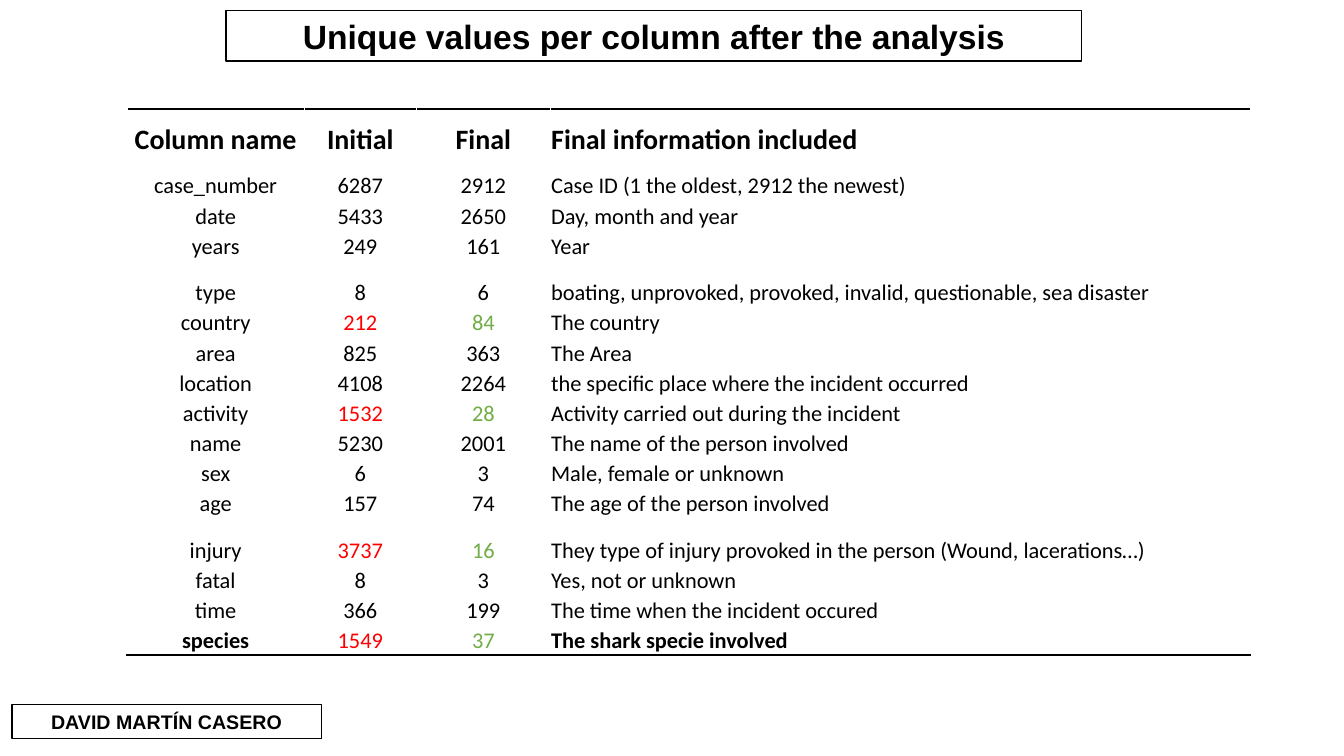
from lxml.etree import SubElement
from pptx import Presentation
from pptx.dml.color import RGBColor
from pptx.enum.shapes import MSO_SHAPE
from pptx.enum.text import MSO_ANCHOR as Anchor, PP_ALIGN as Align
from pptx.oxml.ns import qn
from pptx.util import Cm, Pt

COLORS = {"ink": "000000", "paper": "FFFFFF", "before": "FF0000", "after": "70AD47"}

# text, (left, top, width, height) in cm, font size
LABELS = [
    ("Unique values per column after the analysis", (5.7, 0.26, 21.56, 1.28), 24),
    ("DAVID MARTÍN CASERO", (0.3, 17.75, 7.8, 0.86), 14),
]
HEADER = ("Column name", "Initial", "Final", "Final information included")
GROUPS = [
    [
        ("case_number", 6287, 2912, "Case ID (1 the oldest, 2912 the newest)"),
        ("date", 5433, 2650, "Day, month and year"),
        ("years", 249, 161, "Year"),
    ],
    [
        ("type", 8, 6, "boating, unprovoked, provoked, invalid, questionable, sea disaster"),
        ("country", 212, 84, "The country"),
        ("area", 825, 363, "The Area"),
        ("location", 4108, 2264, "the specific place where the incident occurred"),
        ("activity", 1532, 28, "Activity carried out during the incident"),
        ("name", 5230, 2001, "The name of the person involved"),
        ("sex", 6, 3, "Male, female or unknown"),
        ("age", 157, 74, "The age of the person involved"),
    ],
    [
        ("injury", 3737, 16, "They type of injury provoked in the person (Wound, lacerations…)"),
        ("fatal", 8, 3, "Yes, not or unknown"),
        ("time", 366, 199, "The time when the incident occured"),
        ("species", 1549, 37, "The shark specie involved"),
    ],
]
REDUCED = {"country", "activity", "injury", "species"}
BOLD_NAME = "species"
NUMBER_COLORS = {1: "before", 2: "after"}

TABLE_LEFT, TABLE_TOP = 3.2, 2.74
COLUMN_WIDTHS = (4.47, 2.82, 3.38, 17.65)
HEADER_HEIGHT, ROW_HEIGHT, GROUP_START_HEIGHT = 1.54, 0.76, 1.17
CELL_FORMAT = {"margin_left": Cm(0.02), "margin_right": Cm(0.02),
               "margin_top": Cm(0.02), "margin_bottom": 0}


def rgb(name):
    """Return the named colour."""
    return RGBColor.from_string(COLORS[name])


def write(frame, text, align, color="ink", **font_format):
    """Put one formatted line of text into a text frame."""
    line = frame.paragraphs[0]
    line.alignment = align
    run = line.add_run()
    run.text = str(text)
    run.font.color.rgb = rgb(color)
    for attribute, value in font_format.items():
        setattr(run.font, attribute, value)


def paint(part):
    """Give a shape or cell the paper fill."""
    part.fill.solid()
    part.fill.fore_color.rgb = rgb("paper")


def add_label(slide, text, box, size):
    """Add a framed label with bold centred text."""
    label = slide.shapes.add_shape(MSO_SHAPE.RECTANGLE, *map(Cm, box))
    label.shadow.inherit = False
    paint(label)
    label.line.color.rgb = rgb("ink")
    label.line.width = Pt(1)
    label.text_frame.word_wrap = True
    write(label.text_frame, text, Align.CENTER, name="Arial", size=Pt(size), bold=True)


def add_rule(cell, side):
    """Draw a 2 pt border on one side (lnT or lnB) of a cell."""
    properties = cell._tc.get_or_add_tcPr()
    border = SubElement(properties, qn(f"a:{side}"), w=str(Pt(2)))
    fill = SubElement(border, qn("a:solidFill"))
    SubElement(fill, qn("a:srgbClr"), val=COLORS["ink"])
    properties.insert(0, border)


def add_summary(slide):
    """Add the table of unique values per column."""
    rows, heights = [HEADER], [HEADER_HEIGHT]
    for number, group in enumerate(GROUPS):
        rows += group
        first = GROUP_START_HEIGHT if number else ROW_HEIGHT
        heights += [first] + [ROW_HEIGHT] * (len(group) - 1)
    table = slide.shapes.add_table(
        len(rows), len(HEADER), Cm(TABLE_LEFT), Cm(TABLE_TOP),
        Cm(sum(COLUMN_WIDTHS)), Cm(sum(heights))).table
    table.first_row = table.horz_banding = False
    for column, width in zip(table.columns, COLUMN_WIDTHS):
        column.width = Cm(width)

    for r, (values, height) in enumerate(zip(rows, heights)):
        table.rows[r].height = Cm(height)
        is_header = r == 0
        for c, value in enumerate(values):
            cell = table.cell(r, c)
            paint(cell)
            for attribute, setting in CELL_FORMAT.items():
                setattr(cell, attribute, setting)
            cell.vertical_anchor = Anchor.MIDDLE if is_header else Anchor.BOTTOM
            is_number = c in NUMBER_COLORS
            color = NUMBER_COLORS[c] if is_number and values[0] in REDUCED else "ink"
            bold = is_header or (values[0] == BOLD_NAME and not is_number)
            align = Align.LEFT if c == len(HEADER) - 1 else Align.CENTER
            write(cell.text_frame, value, align, color, name="Calibri",
                  size=Pt(20 if is_header else 16), bold=bold)
            if is_header:
                add_rule(cell, "lnT")
            elif r == len(rows) - 1:
                add_rule(cell, "lnB")


deck = Presentation()
deck.slide_width, deck.slide_height = Cm(33.87), Cm(19.05)
slide = deck.slides.add_slide(deck.slide_layouts[6])
add_summary(slide)
for label in LABELS:
    add_label(slide, *label)
deck.save("out.pptx")
